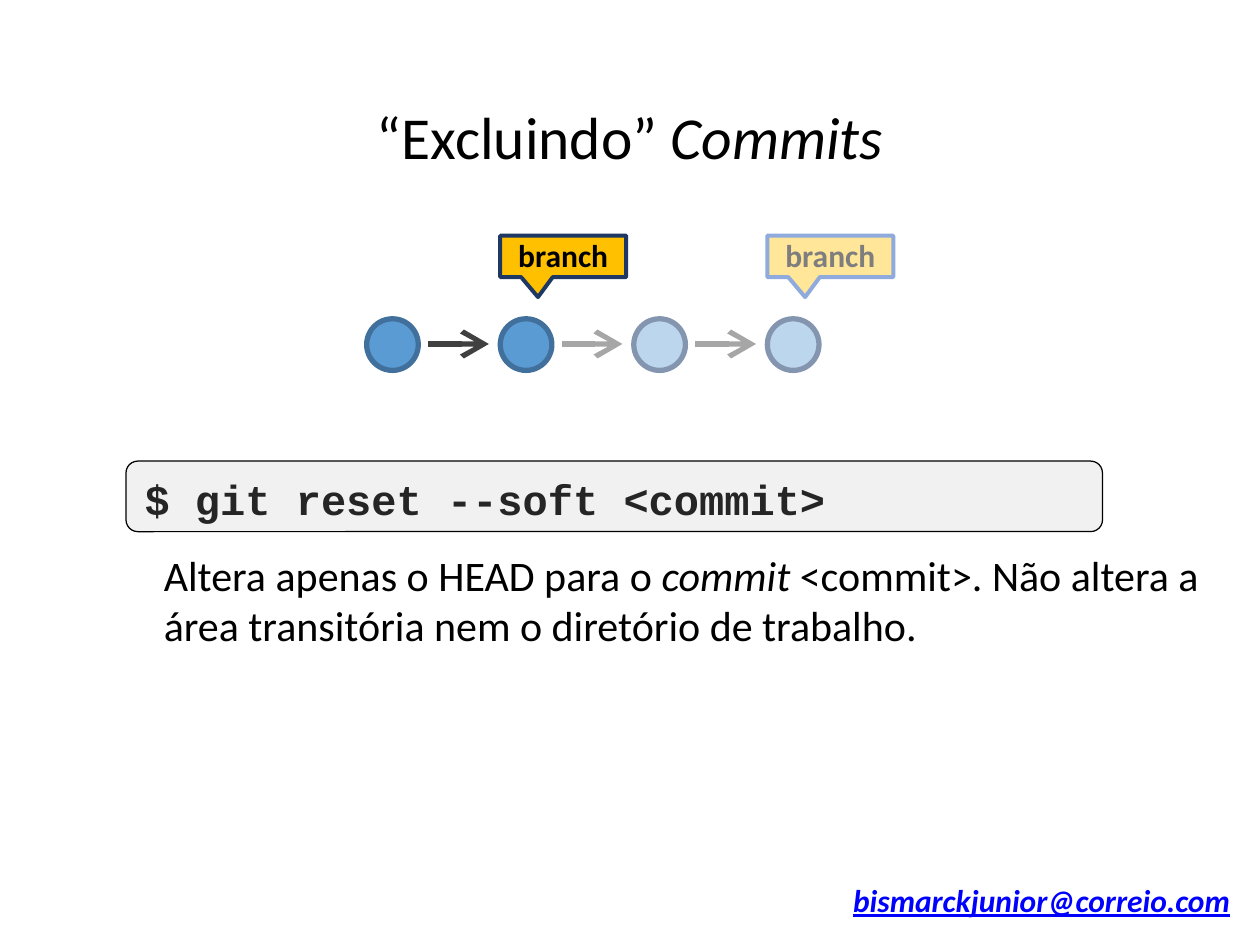
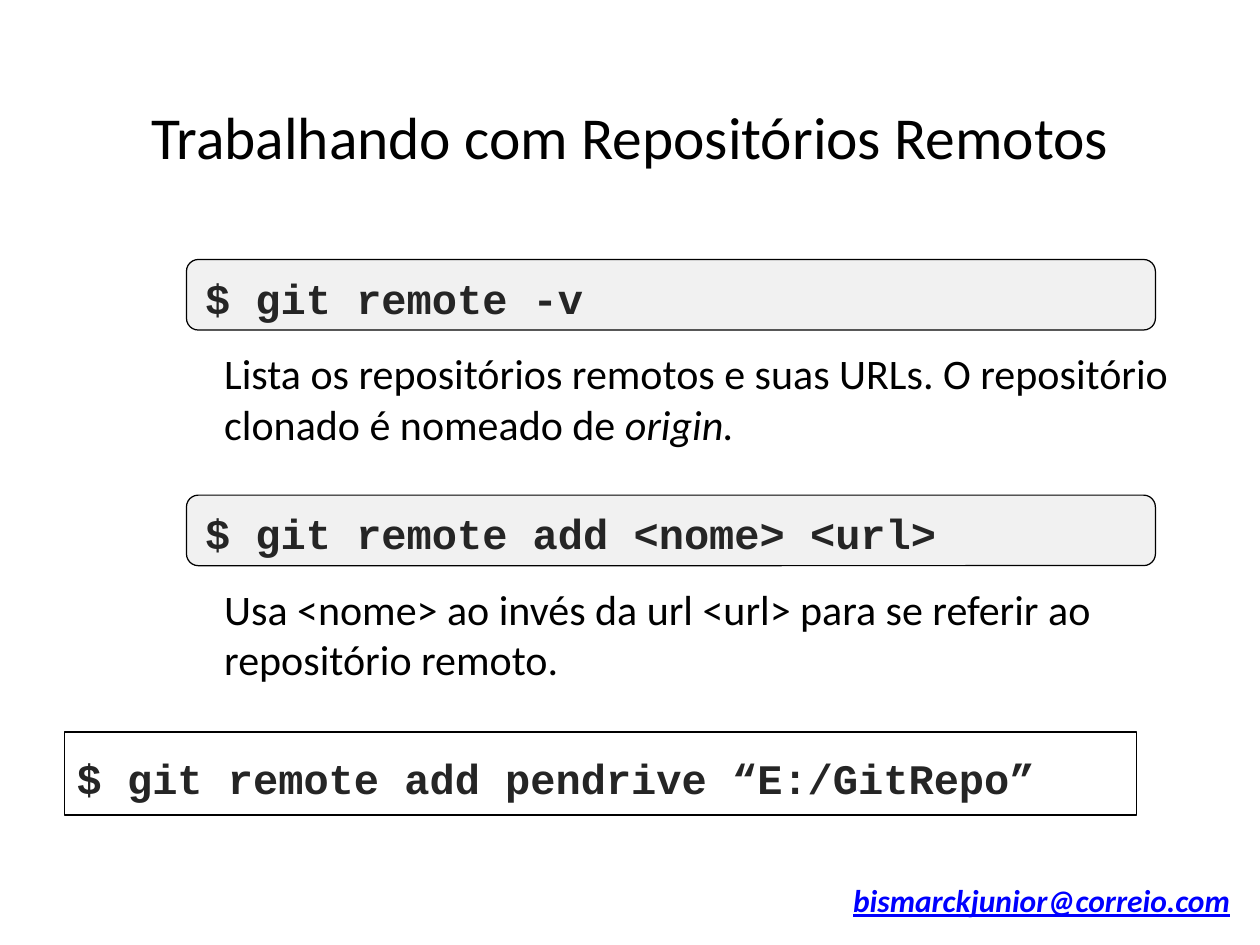
import lxml.etree
import pptx
import pptx.dml.color
import pptx.enum.shapes
import pptx.enum.text
import pptx.oxml.ns
import pptx.util

Inches = pptx.util.Inches
Pt = pptx.util.Pt
RGBColor = pptx.dml.color.RGBColor
Align = pptx.enum.text.PP_ALIGN
Anchor = pptx.enum.text.MSO_ANCHOR
Shape = pptx.enum.shapes.MSO_SHAPE

BLACK = RGBColor(0x00, 0x00, 0x00)
CODE_INK = RGBColor(0x25, 0x25, 0x25)
CODE_FILL = RGBColor(0xF1, 0xF1, 0xF1)
LINK_BLUE = RGBColor(0x00, 0x00, 0xFF)
COMMIT_FILL = RGBColor(0x5B, 0x9B, 0xD4)
COMMIT_LINE = RGBColor(0x41, 0x70, 0x9C)
FADED_COMMIT_FILL = RGBColor(0xBC, 0xD6, 0xED)
FADED_COMMIT_LINE = RGBColor(0x84, 0x96, 0xAF)
ARROW = RGBColor(0x40, 0x40, 0x40)
FADED_ARROW = RGBColor(0xA6, 0xA6, 0xA6)
BRANCH_FILL = RGBColor(0xFF, 0xC0, 0x00)
BRANCH_LINE = RGBColor(0x1F, 0x38, 0x63)
FADED_BRANCH_FILL = RGBColor(0xFF, 0xE6, 0x99)
FADED_BRANCH_LINE = RGBColor(0x8F, 0xAA, 0xDC)
FADED_INK = RGBColor(0x7E, 0x7E, 0x7E)

CONTACT = "bismarckjunior@correio.com"
COMMIT_LEFT, COMMIT_STEP, COMMIT_SIZE = 2.91, 1.06, 0.41


def write(frame, *parts, size=24, font="Calibri", color=BLACK, bold=False,
          italic=False, underline=False, align=Align.LEFT, anchor=Anchor.TOP,
          insets=(0, 0, 0, 0), wrap=True, line_spacing=None):
    """Parts alternate between upright and italic text."""
    frame.auto_size = pptx.enum.text.MSO_AUTO_SIZE.NONE
    frame.word_wrap = wrap
    frame.vertical_anchor = anchor
    (frame.margin_left, frame.margin_top,
     frame.margin_right, frame.margin_bottom) = map(Inches, insets)
    paragraph = frame.paragraphs[0]
    paragraph.alignment = align
    paragraph.line_spacing = line_spacing
    for index, part in enumerate(parts):
        run = paragraph.add_run()
        run.text = part
        run.font.size = Pt(size)
        run.font.name = font
        run.font.color.rgb = color
        run.font.bold = bold
        run.font.italic = italic or index % 2 == 1
        run.font.underline = underline


class Deck:
    def __init__(self):
        self.presentation = pptx.Presentation()
        self.presentation.slide_width = Inches(10)
        self.presentation.slide_height = Inches(7.5)
        self.slide = None

    def start(self, *title_parts):
        layout = self.presentation.slide_layouts[5]
        self.slide = self.presentation.slides.add_slide(layout)
        title = self.slide.shapes.title
        title.left, title.top = Inches(0.88), Inches(0.79)
        title.width, title.height = Inches(8.24), Inches(0.59)
        write(title.text_frame, *title_parts, size=34, align=Align.CENTER)
        self.text(6.77, 7.04, 3.09, 0.28, CONTACT, size=18, color=LINK_BLUE,
                  bold=True, italic=True, underline=True, wrap=False,
                  line_spacing=Pt(18.1))

    def text(self, left, top, width, height, *parts, **style):
        box = self.slide.shapes.add_textbox(
            Inches(left), Inches(top), Inches(width), Inches(height))
        write(box.text_frame, *parts, **style)

    def shape(self, kind, left, top, width, height, fill, line, line_width):
        shape = self.slide.shapes.add_shape(
            kind, Inches(left), Inches(top), Inches(width), Inches(height))
        shape.shadow.inherit = False
        if fill is None:
            shape.fill.background()
        else:
            shape.fill.solid()
            shape.fill.fore_color.rgb = fill
        shape.line.color.rgb = line
        shape.line.width = Pt(line_width)
        return shape

    def command(self, code, left, top, width, height=0.56,
                kind=Shape.ROUNDED_RECTANGLE, fill=CODE_FILL,
                insets=(0.12, 0.04, 0, 0)):
        box = self.shape(kind, left, top, width, height, fill, BLACK, 0.72)
        write(box.text_frame, code, font="Courier New", color=CODE_INK,
              bold=True, anchor=Anchor.MIDDLE, insets=insets)

    def explained_command(self, code, explanation, left, top, width):
        self.command(code, left, top, width)
        text_left = left + 0.3
        self.text(text_left, top + 0.7, 9.55 - text_left, 0.85, *explanation)

    def commit(self, left, fill, line):
        self.shape(Shape.OVAL, left, 2.53, COMMIT_SIZE, COMMIT_SIZE,
                   fill, line, 3)

    def arrow(self, left, color):
        arrow = self.slide.shapes.add_connector(
            pptx.enum.shapes.MSO_CONNECTOR.STRAIGHT,
            Inches(left), Inches(2.73), Inches(left + 0.48), Inches(2.73))
        arrow.line.color.rgb = color
        arrow.line.width = Pt(3)
        qn = pptx.oxml.ns.qn
        properties = arrow.element.spPr
        lxml.etree.SubElement(properties.find(qn("a:ln")), qn("a:tailEnd"),
                              type="arrow", w="lg", len="lg")
        lxml.etree.SubElement(properties, qn("a:effectLst"))

    def branch(self, left, fill, line, ink):
        label = self.shape(Shape.RECTANGULAR_CALLOUT, left, 1.87, 1, 0.33,
                           fill, line, 2.28)
        label.adjustments[0] = -0.2
        label.adjustments[1] = 0.98
        write(label.text_frame, "branch", size=18, color=ink, bold=True,
              align=Align.CENTER, anchor=Anchor.MIDDLE,
              insets=(0, 0, 0, 0.03))


def excluding_commits(deck):
    deck.start("“Excluindo” ", "Commits")
    for position in range(4):
        left = COMMIT_LEFT + position * COMMIT_STEP
        if position < 2:
            deck.commit(left, COMMIT_FILL, COMMIT_LINE)
        else:
            deck.commit(left, FADED_COMMIT_FILL, FADED_COMMIT_LINE)
        if position < 3:
            deck.arrow(left + 0.49, FADED_ARROW if position else ARROW)
    deck.branch(COMMIT_LEFT + COMMIT_STEP, BRANCH_FILL, BRANCH_LINE, BLACK)
    deck.branch(COMMIT_LEFT + 3 * COMMIT_STEP,
                FADED_BRANCH_FILL, FADED_BRANCH_LINE, FADED_INK)
    deck.explained_command(
        "$ git reset --soft <commit>",
        ("Altera apenas o HEAD para o ", "commit ",
         "<commit>. Não altera a área transitória nem o diretório "
         "de trabalho."),
        1, 3.66, 7.75)


def remote_repositories(deck):
    deck.start("Trabalhando com Repositórios Remotos")
    entries = (
        ("$ git remote -v",
         ("Lista os repositórios remotos e suas URLs. O repositório "
          "clonado é nomeado de ", "origin.")),
        ("$ git remote add <nome> <url>",
         ("Usa <nome> ao invés da url <url> para se referir ao "
          "repositório remoto.",)),
    )
    for row, (code, explanation) in enumerate(entries):
        deck.explained_command(code, explanation,
                               1.48, 2.06 + row * 1.87, 7.69)
    deck.command("$ git remote add pendrive “E:/GitRepo”", 0.51, 5.81, 8.51,
                 0.66, Shape.RECTANGLE, None, (0.1, 0.07, 0, 0))


def main():
    deck = Deck()
    excluding_commits(deck)
    remote_repositories(deck)
    deck.presentation.save("out.pptx")


if __name__ == "__main__":
    main()
